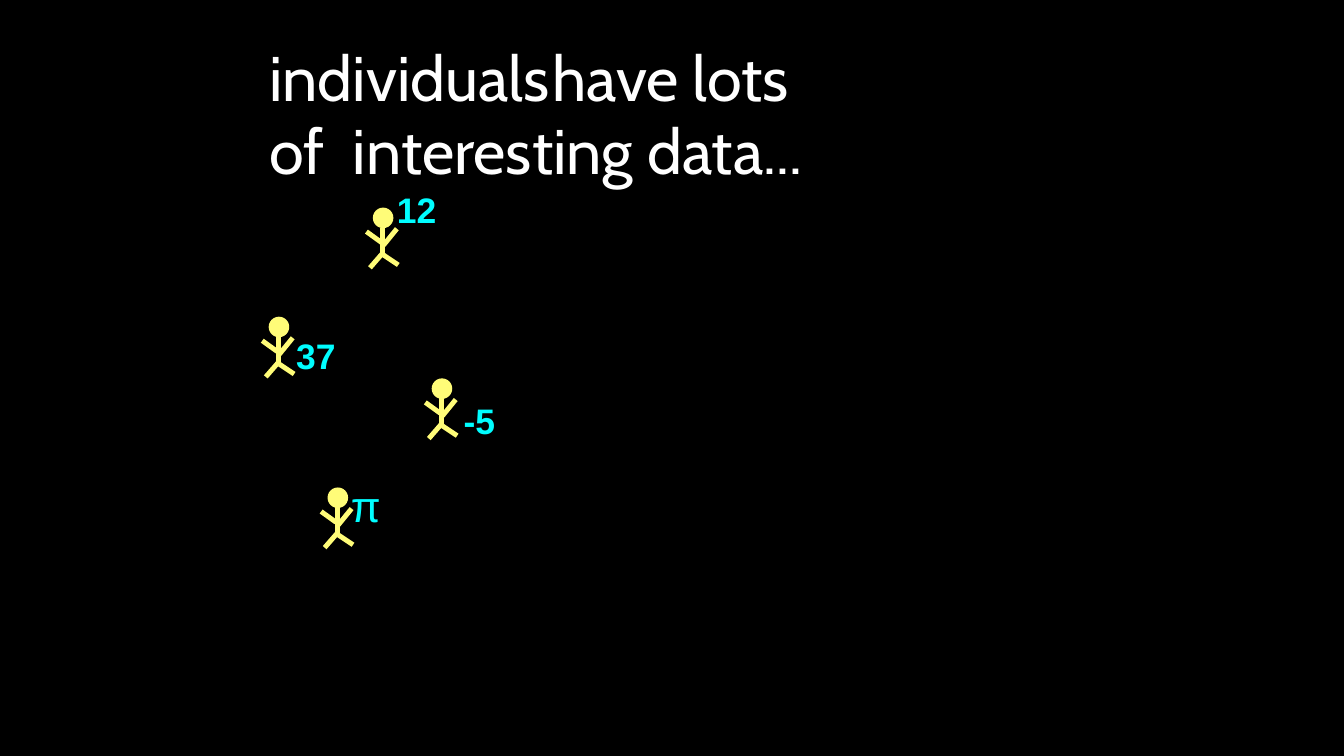
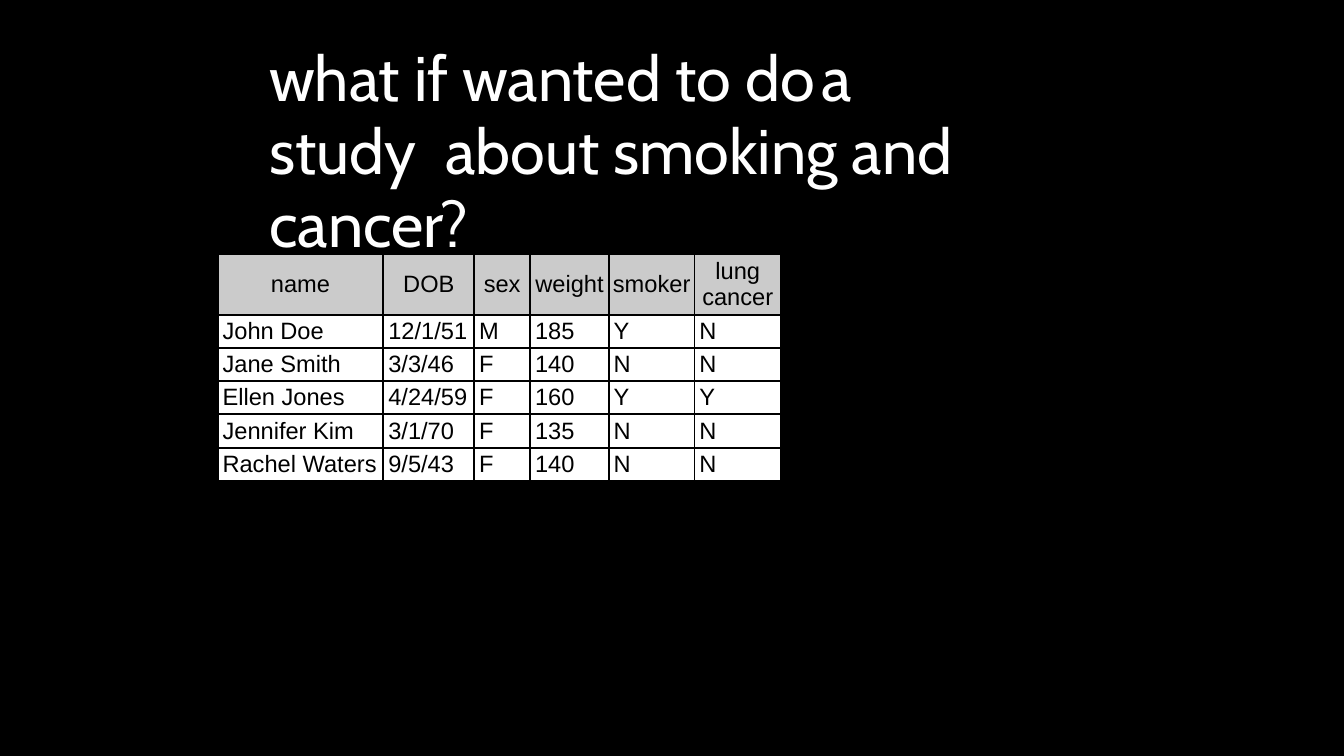
from dataclasses import dataclass

from lxml.etree import SubElement
from pptx import Presentation
from pptx.dml.color import RGBColor
from pptx.enum.shapes import MSO_CONNECTOR, MSO_SHAPE
from pptx.enum.text import MSO_ANCHOR, MSO_AUTO_SIZE, PP_ALIGN
from pptx.oxml.ns import qn
from pptx.util import Inches, Pt

COLORS = {
    "background": "000000",
    "title": "FFFFFF",
    "person": "FFFC78",
    "value": "00FDFF",
    "header": "CBCBCB",
    "cell": "FFFFFF",
    "ink": "000000",
}
SLIDE_WIDTH, SLIDE_HEIGHT = Inches(18.96), Inches(10.67)
HEAD = Inches(0.29)
TITLE_LEFT, TITLE_TOP, TITLE_HEIGHT = 20.04, 4.69, 20.24

# Limb ends, measured in heads from the head's top left corner
LIMBS = {
    "body": ((0.48, 0.97), (0.48, 2.24)),
    "right arm": ((1.17, 1.03), (0.52, 1.83)),
    "left arm": ((-0.31, 1.17), (0.41, 1.69)),
    "right leg": ((0.52, 2.31), (1.24, 2.79)),
    "left leg": ((0.52, 2.17), (-0.14, 2.93)),
}

# Column widths and row heights in percent of the slide
COLUMNS = (12.34, 6.75, 4.17, 5.85, 6.38, 6.43)
HEADER_HEIGHT, ROW_HEIGHT = 8.06, 4.4
RECORDS = (
    ("name", "DOB", "sex", "weight", "smoker", "lung\vcancer"),
    ("John Doe", "12/1/51", "M", "185", "Y", "N"),
    ("Jane Smith", "3/3/46", "F", "140", "N", "N"),
    ("Ellen Jones", "4/24/59", "F", "160", "Y", "Y"),
    ("Jennifer Kim", "3/1/70", "F", "135", "N", "N"),
    ("Rachel Waters", "9/5/43", "F", "140", "N", "N"),
)


@dataclass(frozen=True)
class Person:
    """Head corner in percent of the slide; value offset in heads."""
    left: float
    top: float
    value: str
    value_right: float
    value_down: float
    size: float = 36
    bold: bool = True


PEOPLE = (
    Person(19.99, 41.89, "37", 1.34, 0.83),
    Person(27.74, 27.46, "12", 1.17, -0.93),
    Person(24.37, 64.48, "π", 1.14, -0.38, size=44, bold=False),
    Person(32.12, 50.05, "-5", 1.55, 1.0),
)


def across(percent: float) -> int:
    return round(SLIDE_WIDTH * percent / 100)


def down(percent: float) -> int:
    return round(SLIDE_HEIGHT * percent / 100)


def color(name: str) -> RGBColor:
    return RGBColor.from_string(COLORS[name])


def write_text(text_frame, text: str, *, size: float, ink: str, font: str = "Arial",
               bold: bool = False, align=PP_ALIGN.LEFT, anchor=MSO_ANCHOR.TOP,
               line_spacing=None, space_before: float = 0, tabs: tuple = ()) -> None:
    text_frame.vertical_anchor = anchor
    paragraph = text_frame.paragraphs[0]
    paragraph.text = text
    paragraph.alignment = align
    paragraph.space_before = Pt(space_before)
    if line_spacing:
        paragraph.line_spacing = line_spacing
    for run in paragraph.runs:
        run.font.name, run.font.size, run.font.bold = font, Pt(size), bold
        run.font.color.rgb = color(ink)
    if tabs:
        tab_list = SubElement(paragraph._p.get_or_add_pPr(), qn("a:tabLst"))
        for position in tabs:
            SubElement(tab_list, qn("a:tab"), pos=str(Inches(position)), algn="l")


def clear_margins(text_frame, top: float = 0) -> None:
    text_frame.margin_left = text_frame.margin_right = text_frame.margin_bottom = 0
    text_frame.margin_top = Inches(top)


def add_titled_slide(presentation, text: str, width: float, tabs: tuple):
    slide = presentation.slides.add_slide(presentation.slide_layouts[5])
    title = slide.shapes.title
    title.left, title.top = across(TITLE_LEFT), down(TITLE_TOP)
    title.width, title.height = across(width), down(TITLE_HEIGHT)
    title.text_frame.word_wrap = True
    title.text_frame.auto_size = MSO_AUTO_SIZE.NONE
    clear_margins(title.text_frame, top=0.08)
    write_text(title.text_frame, text, size=64, ink="title", font="Cabin",
               line_spacing=Pt(74), space_before=5.8, tabs=tabs)
    return slide


def add_person(slide, person: Person) -> None:
    left, top = across(person.left), down(person.top)

    def point(right: float, below: float) -> tuple[int, int]:
        return left + round(HEAD * right), top + round(HEAD * below)

    # Stick figure
    head = slide.shapes.add_shape(MSO_SHAPE.OVAL, left, top, HEAD, HEAD)
    head.shadow.inherit = False
    head.fill.solid()
    head.fill.fore_color.rgb = color("person")
    head.line.fill.background()
    for start, end in LIMBS.values():
        limb = slide.shapes.add_connector(MSO_CONNECTOR.STRAIGHT, *point(*start), *point(*end))
        limb.line.color.rgb = color("person")
        limb.line.width = Pt(5)
        SubElement(limb._element.spPr, qn("a:effectLst"))

    # The person's value
    label = slide.shapes.add_textbox(*point(person.value_right, person.value_down),
                                     3 * HEAD, 2 * HEAD)
    label.text_frame.word_wrap = True
    clear_margins(label.text_frame)
    write_text(label.text_frame, person.value, size=person.size, ink="value", bold=person.bold)


def add_borders(cell) -> None:
    properties = cell._tc.get_or_add_tcPr()
    for side in ("lnL", "lnR", "lnT", "lnB"):
        border = SubElement(properties, qn(f"a:{side}"), w=str(Pt(2.25)))
        fill = SubElement(border, qn("a:solidFill"))
        SubElement(fill, qn("a:srgbClr"), val=COLORS["ink"])


def add_records_table(slide) -> None:
    height = HEADER_HEIGHT + ROW_HEIGHT * (len(RECORDS) - 1)
    table = slide.shapes.add_table(len(RECORDS), len(COLUMNS), across(16.19), down(33.55),
                                   across(sum(COLUMNS)), down(height)).table
    table.horz_banding = table.first_row = False
    for column, width in zip(table.columns, COLUMNS):
        column.width = across(width)
    for row_index, record in enumerate(RECORDS):
        is_header = row_index == 0
        table.rows[row_index].height = down(HEADER_HEIGHT if is_header else ROW_HEIGHT)
        for column_index, text in enumerate(record):
            cell = table.cell(row_index, column_index)
            clear_margins(cell)
            cell.margin_left = 0 if is_header else Inches(0.07)
            add_borders(cell)
            cell.fill.solid()
            cell.fill.fore_color.rgb = color("header" if is_header else "cell")
            write_text(cell.text_frame, text, size=24, ink="ink",
                       align=PP_ALIGN.CENTER if is_header else PP_ALIGN.LEFT)
            cell.vertical_anchor = MSO_ANCHOR.MIDDLE


def main() -> None:
    presentation = Presentation()
    presentation.slide_width, presentation.slide_height = SLIDE_WIDTH, SLIDE_HEIGHT
    background = presentation.slide_master.background.fill
    background.solid()
    background.fore_color.rgb = color("background")

    # Slide 1: people and their values
    people_slide = add_titled_slide(
        presentation, "individuals\thave lots\vof\tinteresting data...",
        width=42.62, tabs=(1.18, 3.95))
    for person in PEOPLE:
        add_person(people_slide, person)

    # Slide 2: study records
    study_slide = add_titled_slide(
        presentation, "what if wanted to do\ta\vstudy\tabout smoking and\vcancer?",
        width=54.64, tabs=(2.48, 7.79))
    add_records_table(study_slide)

    presentation.save("out.pptx")


if __name__ == "__main__":
    main()
